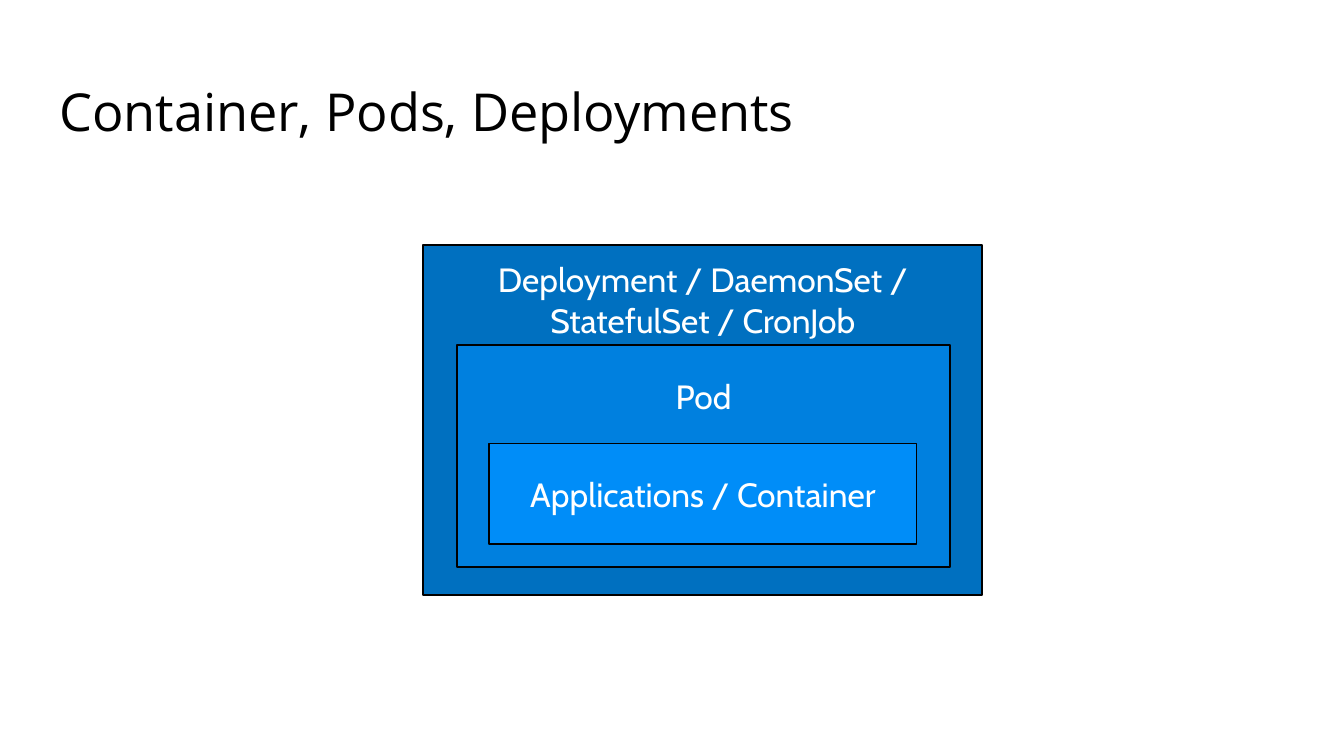
from pptx import Presentation
from pptx.dml.color import RGBColor
from pptx.enum.shapes import MSO_SHAPE as Shape
from pptx.enum.text import MSO_ANCHOR as Anchor, PP_ALIGN as Align
from pptx.util import Inches, Pt

SLIDE_WIDTH = 10
SLIDE_HEIGHT = SLIDE_WIDTH * 9 / 16
TITLE_BOX = (0.34, 0.49, 8.4, 0.67)
STACK_BOX = (3.15, 1.82, 4.16, 2.61)
LAYERS = [
    ("Deployment / DaemonSet / StatefulSet / CronJob", "0070C0", (0, 0, 4.16, 2.61), Anchor.TOP, 0.11),
    ("Pod", "0080DF", (0.25, 0.75, 3.67, 1.65), Anchor.TOP, 0.23),
    ("Applications / Container", "008DF8", (0.49, 1.48, 3.18, 0.75), Anchor.MIDDLE, 0.05),
]


def color(value):
    return RGBColor.from_string(value)


def apply(target, formats):
    for name, value in formats.items():
        setattr(target, name, value)


def write_text(shape, text, align, font, frame):
    text_frame = shape.text_frame
    apply(text_frame, {"word_wrap": True, **frame})
    paragraph = text_frame.paragraphs[0]
    paragraph.alignment = align
    run = paragraph.add_run()
    run.text = text
    run.font.color.rgb = color(font["color"])
    apply(run.font, {"name": font["name"], "size": Pt(font["size"])})


def add_title(slide, box, text):
    title = slide.shapes.title
    apply(title, dict(zip(("left", "top", "width", "height"), map(Inches, box))))
    margins = {f"margin_{side}": Inches(0.1) for side in ("left", "top", "right", "bottom")}
    write_text(title, text, Align.LEFT, {"name": "Open Sans", "size": 28, "color": "000000"},
               {"vertical_anchor": Anchor.MIDDLE, **margins})


def add_layer_stack(slide, box, layers):
    left, top = box[:2]
    for text, fill, (x, y, width, height), anchor, margin_top in layers:
        layer = slide.shapes.add_shape(
            Shape.RECTANGLE, Inches(left + x), Inches(top + y), Inches(width), Inches(height))
        layer.shadow.inherit = False
        layer.fill.solid()
        layer.fill.fore_color.rgb = color(fill)
        layer.line.color.rgb = color("000000")
        layer.line.width = Pt(1)
        write_text(layer, text, Align.CENTER, {"name": "Cabin", "size": 18, "color": "FFFFFF"},
                   {"vertical_anchor": anchor, "margin_top": Inches(margin_top)})


def main():
    presentation = Presentation()
    apply(presentation, {"slide_width": Inches(SLIDE_WIDTH), "slide_height": Inches(SLIDE_HEIGHT)})
    slide = presentation.slides.add_slide(presentation.slide_layouts[5])
    add_title(slide, TITLE_BOX, "Container, Pods, Deployments")
    add_layer_stack(slide, STACK_BOX, LAYERS)
    presentation.save("out.pptx")


if __name__ == "__main__":
    main()
